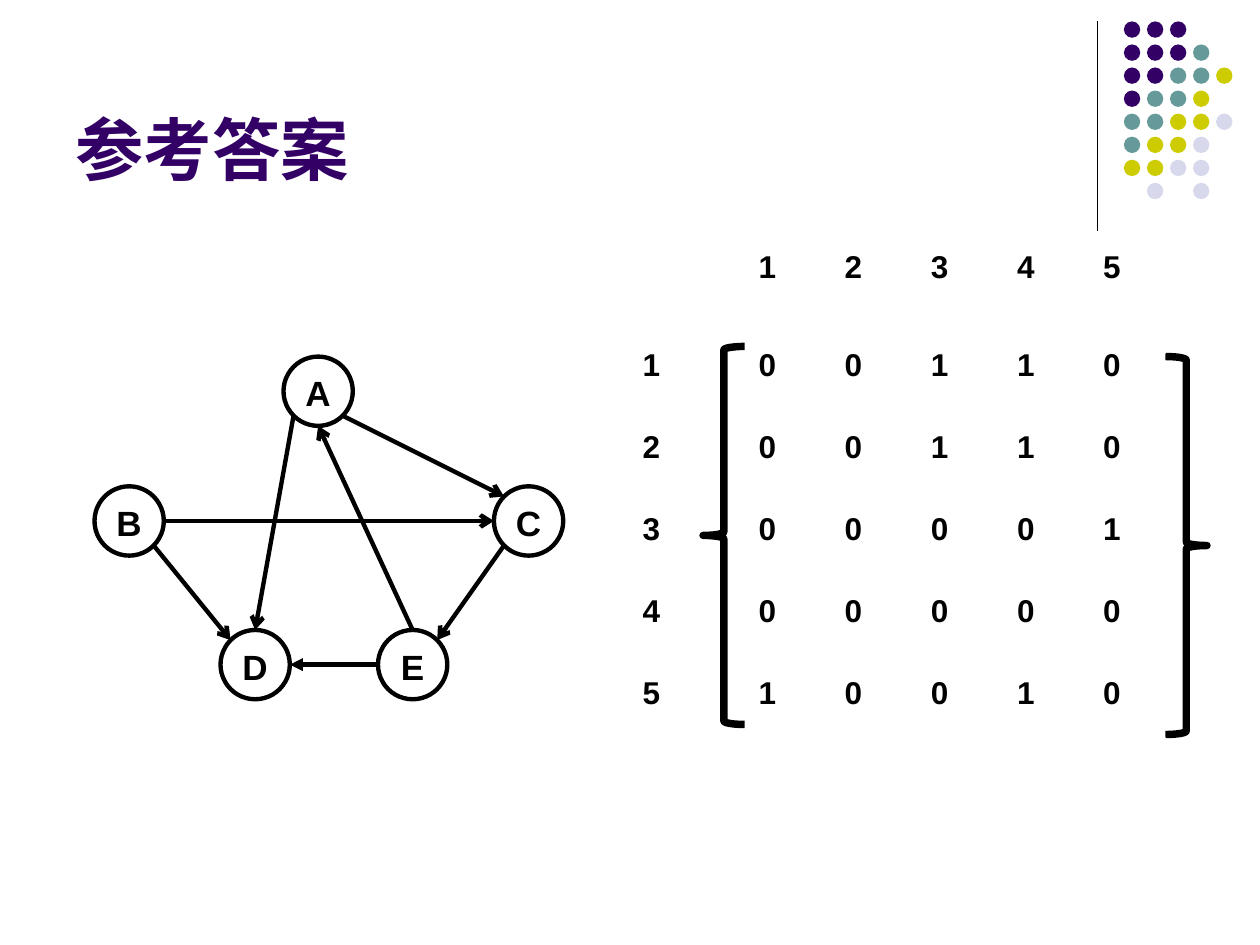
import pptx
import pptx.dml.color
import pptx.enum.shapes
import pptx.enum.text
import pptx.oxml
import pptx.oxml.ns
import pptx.util

Inches = pptx.util.Inches
Pt = pptx.util.Pt
Shape = pptx.enum.shapes.MSO_SHAPE
Anchor = pptx.enum.text.MSO_ANCHOR
Align = pptx.enum.text.PP_ALIGN
NAMESPACE = pptx.oxml.ns.nsdecls("a")

BLACK, WHITE, PURPLE = "000000", "FFFFFF", "330066"
DOT_COLORS = {"p": PURPLE, "t": "669999", "y": "CCCC00", "l": "D8D8EC"}
DOT_ROWS = ["ppp", "pppt", "pptty", "ptty", "ttyyl", "tyyl", "yyll", " l l"]

NODE_SIZE = 0.55
NODES = {"E": (3, 5), "D": (1.75, 5), "C": (3.92, 3.86), "B": (0.75, 3.86), "A": (2.25, 2.83)}
DIRECTIONS = {"N": (0, -1), "S": (0, 1), "W": (-1, 0), "E": (1, 0),
              "NW": (-0.71, -0.71), "NE": (0.71, -0.71),
              "SW": (-0.71, 0.71), "SE": (0.71, 0.71)}
# Each edge: start node, side it leaves, end node, side it enters, arrowhead
EDGES = [("E", "W", "D", "E", "triangle"), ("B", "E", "C", "W", "arrow"),
         ("A", "SW", "D", "N", "arrow"), ("E", "N", "A", "S", "arrow"),
         ("A", "SE", "C", "NW", "arrow"), ("C", "SW", "E", "NE", "arrow"),
         ("B", "SE", "D", "NW", "arrow")]

ADJACENCY = ["00110", "00110", "00001", "00000", "10010"]
COLUMN_WIDTH, ROW_HEIGHT = 0.684, 0.65


def color(value):
    return pptx.dml.color.RGBColor.from_string(value)


def write(frame, text, size=18, ink=BLACK, align=Align.LEFT, anchor=Anchor.TOP):
    frame.word_wrap = True
    frame.vertical_anchor = anchor
    para = frame.paragraphs[0]
    para.alignment = align
    span = para.add_run()
    span.text = text
    span.font.name = "Arial"
    span.font.size = Pt(size)
    span.font.bold = True
    span.font.color.rgb = color(ink)


def node_point(name, direction):
    """Return the point where a node's circle meets a compass direction."""
    radius = NODE_SIZE / 2
    return [start + radius + radius * step
            for start, step in zip(NODES[name], DIRECTIONS[direction])]


class Page:
    def __init__(self, deck):
        self.slide = deck.slides.add_slide(deck.slide_layouts[5])
        self.shapes = self.slide.shapes

    def group(self):
        return self.slide.shapes.add_group_shape().shapes

    def title(self, text, *place):
        box = self.slide.shapes.title
        box.left, box.top, box.width, box.height = map(Inches, place)
        box.text_frame.auto_size = pptx.enum.text.MSO_AUTO_SIZE.NONE
        write(box.text_frame, text, size=39, ink=PURPLE, anchor=Anchor.BOTTOM)

    def shape(self, kind, *place, shapes=None, fill=None, line_width=None):
        shape = (shapes or self.shapes).add_shape(kind, *map(Inches, place))
        shape.shadow.inherit = False
        if fill:
            shape.fill.solid()
            shape.fill.fore_color.rgb = color(fill)
        else:
            shape.fill.background()
        if line_width:
            shape.line.color.rgb = color(BLACK)
            shape.line.width = Pt(line_width)
        else:
            shape.line.fill.background()

    def label(self, text, *place, shapes):
        box = shapes.add_textbox(*map(Inches, place))
        write(box.text_frame, text, size=20, align=Align.CENTER)

    def line(self, start, end, width, shapes=None, arrowhead=None):
        connector = (shapes or self.shapes).add_connector(
            pptx.enum.shapes.MSO_CONNECTOR.STRAIGHT, *map(Inches, [*start, *end]))
        connector.line.color.rgb = color(BLACK)
        connector.line.width = Pt(width)
        if arrowhead:
            connector.line._get_or_add_ln().append(pptx.oxml.parse_xml(
                f'<a:tailEnd {NAMESPACE} type="{arrowhead}"/>'))
        connector._element.spPr.append(pptx.oxml.parse_xml(f"<a:effectLst {NAMESPACE}/>"))

    def table(self, rows, left, top, column_width, row_height):
        width, height = column_width * len(rows[0]), row_height * len(rows)
        table = self.shapes.add_table(
            len(rows), len(rows[0]), *map(Inches, (left, top, width, height))).table
        table.first_row = table.horz_banding = False
        for column in table.columns:
            column.width = Inches(column_width)
        for row, values in zip(table.rows, rows):
            row.height = Inches(row_height)
            for cell, value in zip(row.cells, values):
                write(cell.text_frame, value)
                cell.vertical_anchor = Anchor.MIDDLE
                self.cell_borders(cell)
                cell.fill.background()

    def cell_borders(self, cell):
        properties = cell._tc.get_or_add_tcPr()
        for side in "LRTB":
            properties.append(pptx.oxml.parse_xml(
                f'<a:ln{side} {NAMESPACE} w="{Pt(0.45)}"><a:solidFill>'
                f'<a:srgbClr val="{WHITE}"/></a:solidFill></a:ln{side}>'))


def draw_corner(page):
    page.line((8.71, 0.17), (8.71, 1.83), 0.75)
    dots = page.group()
    pitch = 0.183
    for row, codes in enumerate(DOT_ROWS):
        for column, code in enumerate(codes):
            if code in DOT_COLORS:
                page.shape(Shape.OVAL, 8.92 + column * pitch, 0.17 + row * pitch,
                           0.13, 0.13, shapes=dots, fill=DOT_COLORS[code])


def draw_graph(page):
    graph = page.group()
    for name, (left, top) in NODES.items():
        page.label(name, left - 0.08, top + 0.07, 0.71, 0.44, shapes=graph)
        page.shape(Shape.OVAL, left, top, NODE_SIZE, NODE_SIZE, shapes=graph, line_width=2.5)
    for start, leaving, end, entering, arrowhead in EDGES:
        page.line(node_point(start, leaving), node_point(end, entering), 2.5,
                  shapes=graph, arrowhead=arrowhead)


def draw_matrix(page):
    page.table(ADJACENCY, 5.92, 2.58, COLUMN_WIDTH, ROW_HEIGHT)
    page.table("12345", 5, 2.58, 0.33, ROW_HEIGHT)
    page.table(["12345"], 5.92, 1.92, COLUMN_WIDTH, 0.41)
    page.shape(Shape.LEFT_BRACE, 5.58, 2.75, 0.33, 3, line_width=4.25)
    page.shape(Shape.RIGHT_BRACE, 9.25, 2.83, 0.33, 3, line_width=4.25)


def main():
    deck = pptx.Presentation()
    deck.slide_width, deck.slide_height = Inches(10), Inches(7.5)
    page = Page(deck)
    draw_corner(page)
    page.title("参考答案", 0.5, 0.13, 8.25, 1.42)
    draw_graph(page)
    draw_matrix(page)
    deck.save("out.pptx")


if __name__ == "__main__":
    main()
